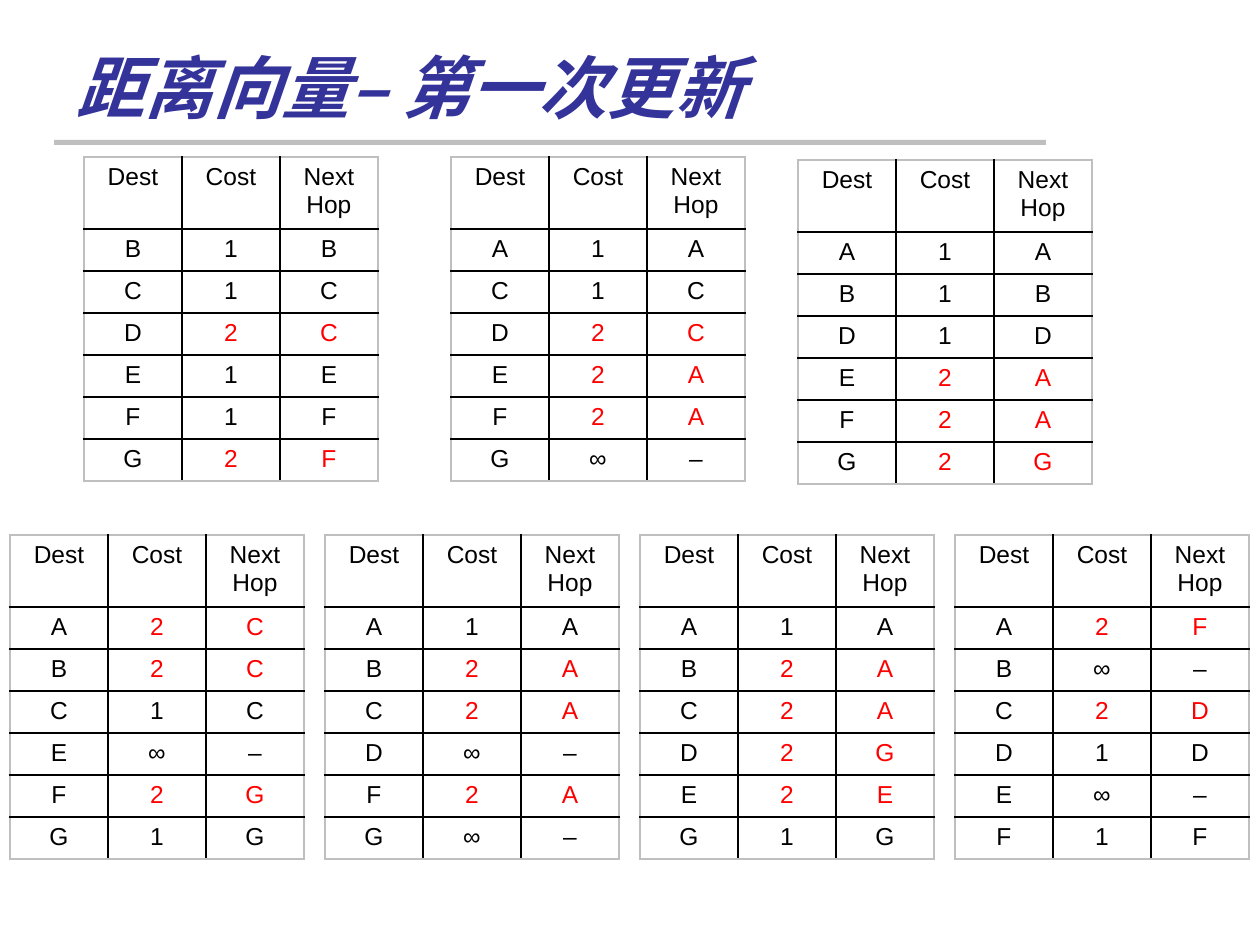
"""Build the distance-vector slide with the routing tables after the first update."""
from dataclasses import dataclass

from lxml import etree
from pptx import Presentation
from pptx.dml.color import RGBColor
from pptx.enum import shapes, text
from pptx.oxml import ns
from pptx.util import Emu, Pt

EMU_PER_INCH = 914400
PX_PER_INCH = 126
COLUMN_WIDTH, HEADER_HEIGHT, ROW_HEIGHT = 98, 72, 42
HEADER = ("Dest", "Cost", "Next Hop")
UPDATED_COST = "2"


@dataclass(frozen=True)
class Theme:
    """Hold the colours, fonts and sizes of the slide."""
    title: str = "333399"
    ink: str = "000000"
    updated: str = "FF0000"
    frame: str = "BFBFBF"
    title_font: str = "Calibri"
    body_font: str = "Arial"
    title_size: int = 39
    body_size: int = 14
    border: int = 1


THEME = Theme()

UPPER_TABLES = (
    (84, 157, "B1B C1C D2C E1E F1F G2F"),
    (451, 157, "A1A C1C D2C E2A F2A G∞–"),
    (798, 160, "A1A B1B D1D E2A F2A G2G"),
)
LOWER_LEFT, LOWER_TOP, LOWER_PITCH = 10, 535, 315
LOWER_TABLES = (
    "A2C B2C C1C E∞– F2G G1G",
    "A1A B2A C2A D∞– F2A G∞–",
    "A1A B2A C2A D2G E2E G1G",
    "A2F B∞– C2D D1D E∞– F1F",
)


def px(value):
    """Turn pixels into EMU."""
    return Emu(round(value * EMU_PER_INCH / PX_PER_INCH))


def write_text(text_frame, content, *, font=THEME.body_font, size=THEME.body_size,
               color=THEME.ink, bold=False, italic=False, align=text.PP_ALIGN.CENTER):
    """Write one formatted paragraph into a text frame."""
    paragraph = text_frame.paragraphs[0]
    paragraph.alignment = align
    run = paragraph.add_run()
    run.text = content
    run.font.name = font
    run.font.size = Pt(size)
    run.font.bold = bold
    run.font.italic = italic
    run.font.color.rgb = RGBColor.from_string(color)


def add_title(slide, left, top, width, height):
    """Place and format the title placeholder."""
    title = slide.shapes.title
    title.left, title.top, title.width, title.height = map(px, (left, top, width, height))
    frame = title.text_frame
    frame.word_wrap = True
    frame.auto_size = text.MSO_AUTO_SIZE.NONE
    frame.vertical_anchor = text.MSO_ANCHOR.BOTTOM
    write_text(frame, "距离向量– 第一次更新", font=THEME.title_font, size=THEME.title_size,
               color=THEME.title, bold=True, italic=True, align=text.PP_ALIGN.LEFT)


def add_rule(slide, left, top, width, height):
    """Draw the grey bar under the title."""
    rule = slide.shapes.add_shape(shapes.MSO_SHAPE.RECTANGLE, *map(px, (left, top, width, height)))
    rule.shadow.inherit = False
    rule.fill.solid()
    rule.fill.fore_color.rgb = RGBColor.from_string(THEME.frame)
    rule.line.fill.background()


def set_borders(cell, outer_edges):
    """Give a cell black inner borders and grey ones on the outer edges."""
    properties = cell._tc.get_or_add_tcPr()
    for edge in "LRTB":
        line = etree.SubElement(properties, ns.qn(f"a:ln{edge}"), w=str(Pt(THEME.border)))
        fill = etree.SubElement(line, ns.qn("a:solidFill"))
        color = THEME.frame if edge in outer_edges else THEME.ink
        etree.SubElement(fill, ns.qn("a:srgbClr"), val=color)


def add_routing_table(slide, left, top, routes):
    """Add a routing table, marking routes of the updated cost in red."""
    rows = [HEADER, *map(tuple, routes.split())]
    heights = [HEADER_HEIGHT] + [ROW_HEIGHT] * (len(rows) - 1)
    last_row, last_column = len(rows) - 1, len(HEADER) - 1
    table = slide.shapes.add_table(len(rows), len(HEADER), px(left), px(top),
                                   px(COLUMN_WIDTH * len(HEADER)), px(sum(heights))).table
    table.first_row = table.horz_banding = False
    for column in table.columns:
        column.width = px(COLUMN_WIDTH)
    for r, (values, height) in enumerate(zip(rows, heights)):
        table.rows[r].height = px(height)
        for c, value in enumerate(values):
            cell = table.cell(r, c)
            edges = {"L": c == 0, "R": c == last_column, "T": r == 0, "B": r == last_row}
            set_borders(cell, [edge for edge, is_outer in edges.items() if is_outer])
            cell.fill.background()
            updated = c > 0 and values[1] == UPDATED_COST
            write_text(cell.text_frame, value, color=THEME.updated if updated else THEME.ink)


def main():
    """Build and save the presentation."""
    presentation = Presentation()
    presentation.slide_width, presentation.slide_height = px(1260), px(945)
    slide = presentation.slides.add_slide(presentation.slide_layouts.get_by_name("Title Only"))
    add_title(slide, 64, 35, 1040, 98)
    add_rule(slide, 54, 140, 992, 5)
    for left, top, routes in UPPER_TABLES:
        add_routing_table(slide, left, top, routes)
    for index, routes in enumerate(LOWER_TABLES):
        add_routing_table(slide, LOWER_LEFT + index * LOWER_PITCH, LOWER_TOP, routes)
    presentation.save("out.pptx")


if __name__ == "__main__":
    main()
